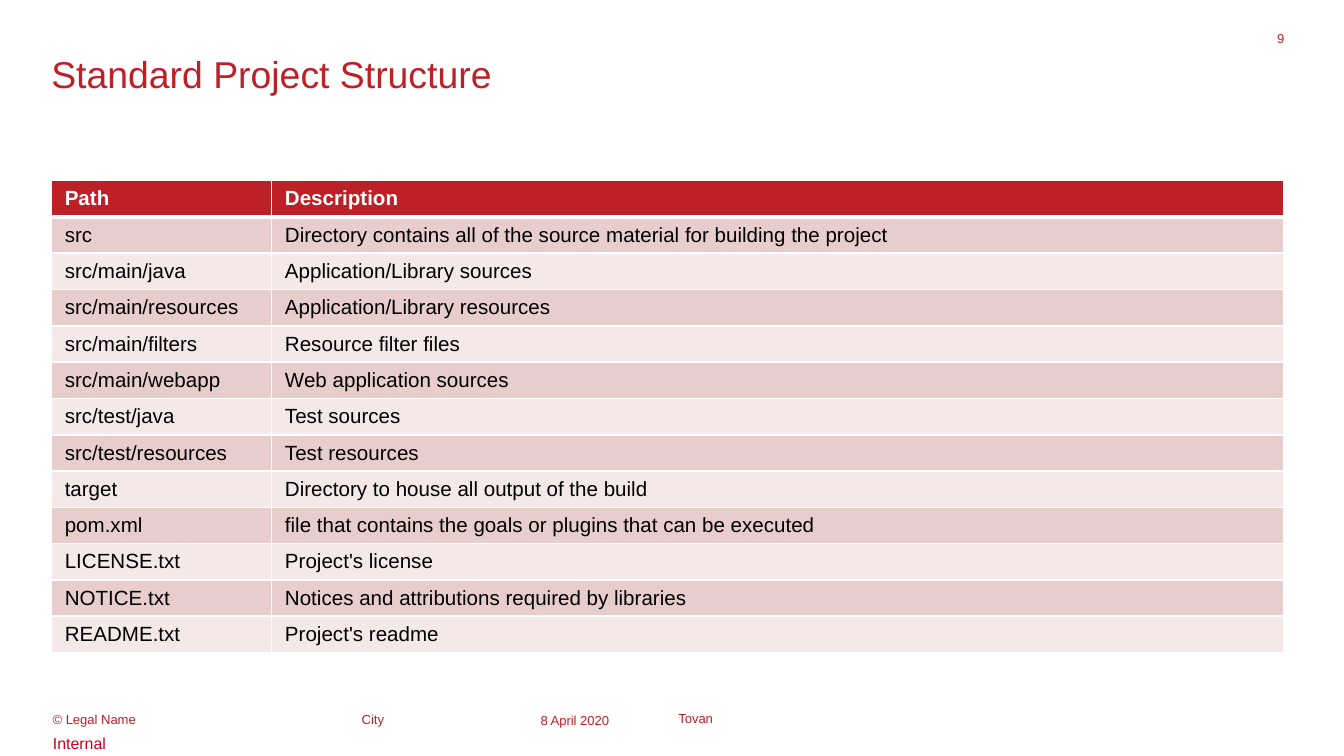
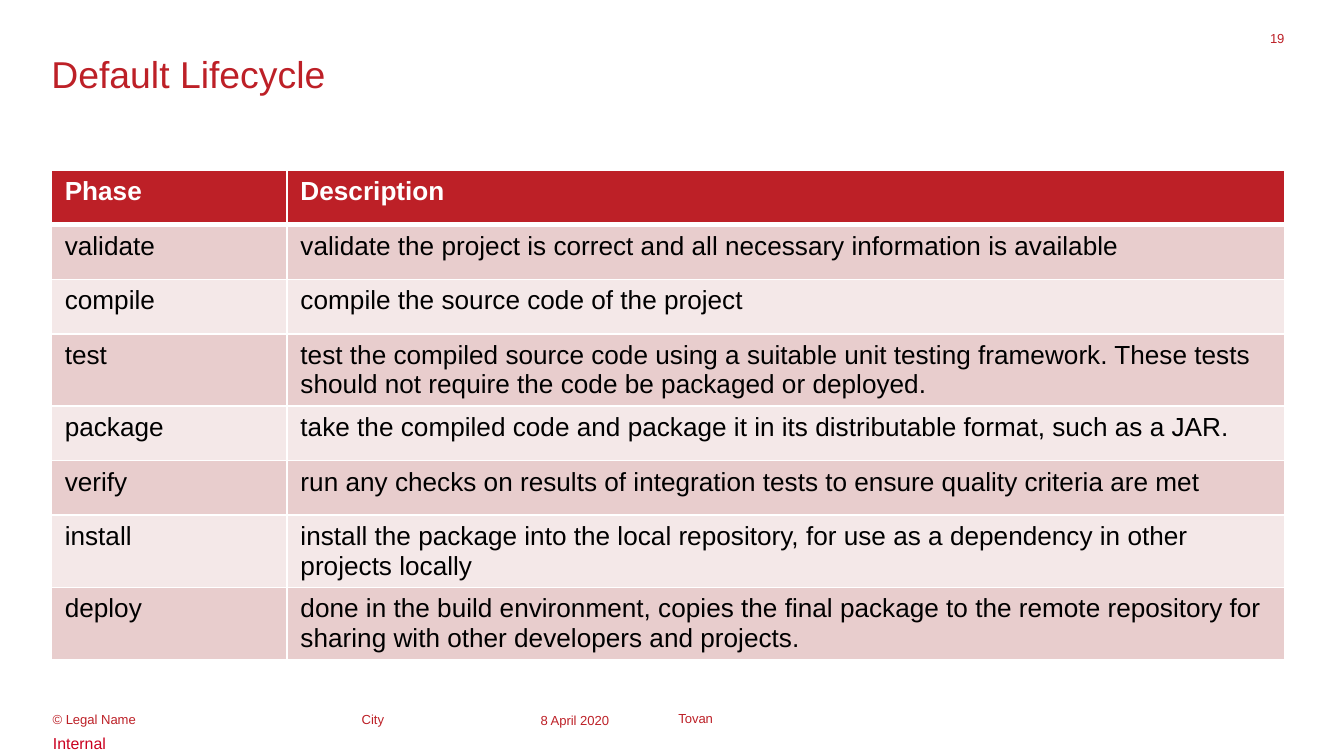
from lxml.etree import SubElement
from pptx import Presentation
from pptx.dml.color import RGBColor
from pptx.enum.text import MSO_ANCHOR, MSO_AUTO_SIZE, PP_ALIGN
from pptx.oxml.ns import qn
from pptx.util import Pt

RED = RGBColor(0xBD, 0x20, 0x27)
LABEL_RED = RGBColor(0xCA, 0x00, 0x1F)
DARK_BAND = RGBColor(0xE8, 0xCD, 0xCD)
LIGHT_BAND = RGBColor(0xF4, 0xE8, 0xE8)
WHITE = RGBColor(0xFF, 0xFF, 0xFF)
BLACK = RGBColor(0, 0, 0)

FONT = "Arial"
SLIDE_SIZE = (720, 405)
LEFT = 27.5
TITLE_BOX = (LEFT, 27.4, 660, 36.7)
NUMBER_BOX = (672.3, 16.2, 15.8, 10.8)
CLASSIFICATION_BOX = (0, 389.7, 720, 17.3)
CLASSIFICATION_INDENT = 28.4
FOOTER_TOP, FOOTER_HEIGHT = 381.5, 6.5
CELL_MARGIN_BOTTOM = 1.5

# text, left, width, paragraph format, anchor
FOOTERS = [
    ("© Legal Name", 28.2, 155.5, {"line_spacing": 0.96}, MSO_ANCHOR.TOP),
    ("City", 193.8, 88.6, {"line_spacing": 0.96}, MSO_ANCHOR.TOP),
    ("8 April 2020", 289.6, 62.6, {}, MSO_ANCHOR.TOP),
    ("Tovan", 363.4, 228.2, {}, MSO_ANCHOR.MIDDLE),
]

SLIDES = [
    {
        "title": "Standard Project Structure",
        "number": 9,
        "top": 96.8,
        "columns": (118, 542.3),
        "row_height": 19.45,
        "size": 11,
        "rows": [
            ("Path", "Description"),
            ("src", "Directory contains all of the source material for building the project"),
            ("src/main/java", "Application/Library sources"),
            ("src/main/resources", "Application/Library resources"),
            ("src/main/filters", "Resource filter files"),
            ("src/main/webapp", "Web application sources"),
            ("src/test/java", "Test sources"),
            ("src/test/resources", "Test resources"),
            ("target", "Directory to house all output of the build"),
            ("pom.xml", "file that contains the goals or plugins that can be executed"),
            ("LICENSE.txt", "Project's license"),
            ("NOTICE.txt", "Notices and attributions required by libraries"),
            ("README.txt", "Project's readme"),
        ],
    },
    {
        "title": "Default Lifecycle",
        "number": 19,
        "top": 91.3,
        "columns": (126.3, 534.5),
        "row_height": 29.2,
        "size": 14,
        "rows": [
            ("Phase", "Description"),
            ("validate", "validate the project is correct and all necessary information is available"),
            ("compile", "compile the source code of the project"),
            ("test", "test the compiled source code using a suitable unit testing framework. "
                     "These tests should not require the code be packaged or deployed."),
            ("package", "take the compiled code and package it in its distributable format, such as a JAR."),
            ("verify", "run any checks on results of integration tests to ensure quality criteria are met"),
            ("install", "install the package into the local repository, for use as a dependency "
                        "in other projects locally"),
            ("deploy", "done in the build environment, copies the final package to the remote "
                       "repository for sharing with other developers and projects."),
        ],
    },
]


def set_attributes(target, values):
    for name, value in values.items():
        setattr(target, name, value)


def write(text_frame, text, size, color, bold=False, paragraph_format=None):
    paragraph = text_frame.paragraphs[0]
    set_attributes(paragraph, paragraph_format or {})
    run = paragraph.add_run()
    run.text = text
    set_attributes(run.font, {"name": FONT, "size": Pt(size), "bold": bold})
    run.font.color.rgb = color


def remove_margins(text_frame):
    set_attributes(text_frame, {f"margin_{side}": 0 for side in ("left", "top", "right", "bottom")})


def add_text(slide, box, text, paragraph_format=None, anchor=MSO_ANCHOR.TOP):
    text_frame = slide.shapes.add_textbox(*map(Pt, box)).text_frame
    set_attributes(text_frame, {"word_wrap": True, "vertical_anchor": anchor})
    remove_margins(text_frame)
    write(text_frame, text, 7, RED, paragraph_format=paragraph_format)


def add_title(slide, text):
    title = slide.shapes.title
    set_attributes(title, dict(zip(("left", "top", "width", "height"), map(Pt, TITLE_BOX))))
    set_attributes(title.text_frame, {
        "word_wrap": True,
        "auto_size": MSO_AUTO_SIZE.NONE,
        "vertical_anchor": MSO_ANCHOR.TOP,
    })
    remove_margins(title.text_frame)
    write(title.text_frame, text, 20, RED, paragraph_format={"alignment": PP_ALIGN.LEFT})


def add_footers(slide):
    for text, left, width, paragraph_format, anchor in FOOTERS:
        add_text(slide, (left, FOOTER_TOP, width, FOOTER_HEIGHT), text, paragraph_format, anchor)
    text_frame = slide.shapes.add_textbox(*map(Pt, CLASSIFICATION_BOX)).text_frame
    set_attributes(text_frame, {
        "word_wrap": True,
        "auto_size": MSO_AUTO_SIZE.SHAPE_TO_FIT_TEXT,
        "margin_left": Pt(CLASSIFICATION_INDENT),
    })
    write(text_frame, "Internal", 8.5, LABEL_RED)


def set_borders(cell, widths):
    """Draw white borders; widths maps the sides L, R, T, B to points."""
    properties = cell._tc.get_or_add_tcPr()
    for position, (side, width) in enumerate(widths.items()):
        line = properties.makeelement(qn(f"a:ln{side}"), {"w": str(Pt(width))})
        properties.insert(position, line)
        fill = SubElement(line, qn("a:solidFill"))
        SubElement(fill, qn("a:srgbClr"), val=str(WHITE))


def add_table(slide, content):
    rows, columns = content["rows"], content["columns"]
    row_height = content["row_height"]
    box = (LEFT, content["top"], sum(columns), row_height * len(rows))
    table = slide.shapes.add_table(len(rows), len(columns), *map(Pt, box)).table
    for column, width in zip(table.columns, columns):
        column.width = Pt(width)
    for index, texts in enumerate(rows):
        table.rows[index].height = Pt(row_height)
        header = index == 0
        band = RED if header else DARK_BAND if index % 2 else LIGHT_BAND
        widths = {"L": 1, "R": 1, "T": 3 if index == 1 else 1, "B": 3 if header else 1}
        for cell, text in zip(table.rows[index].cells, texts):
            cell.margin_bottom = Pt(CELL_MARGIN_BOTTOM)
            cell.fill.solid()
            cell.fill.fore_color.rgb = band
            set_borders(cell, widths)
            write(cell.text_frame, text, content["size"], WHITE if header else BLACK, header)


def main():
    presentation = Presentation()
    presentation.slide_width, presentation.slide_height = map(Pt, SLIDE_SIZE)
    for content in SLIDES:
        slide = presentation.slides.add_slide(presentation.slide_layouts[5])
        add_footers(slide)
        add_text(slide, NUMBER_BOX, str(content["number"]), {"alignment": PP_ALIGN.RIGHT})
        add_title(slide, content["title"])
        add_table(slide, content)
    presentation.save("out.pptx")


if __name__ == "__main__":
    main()
